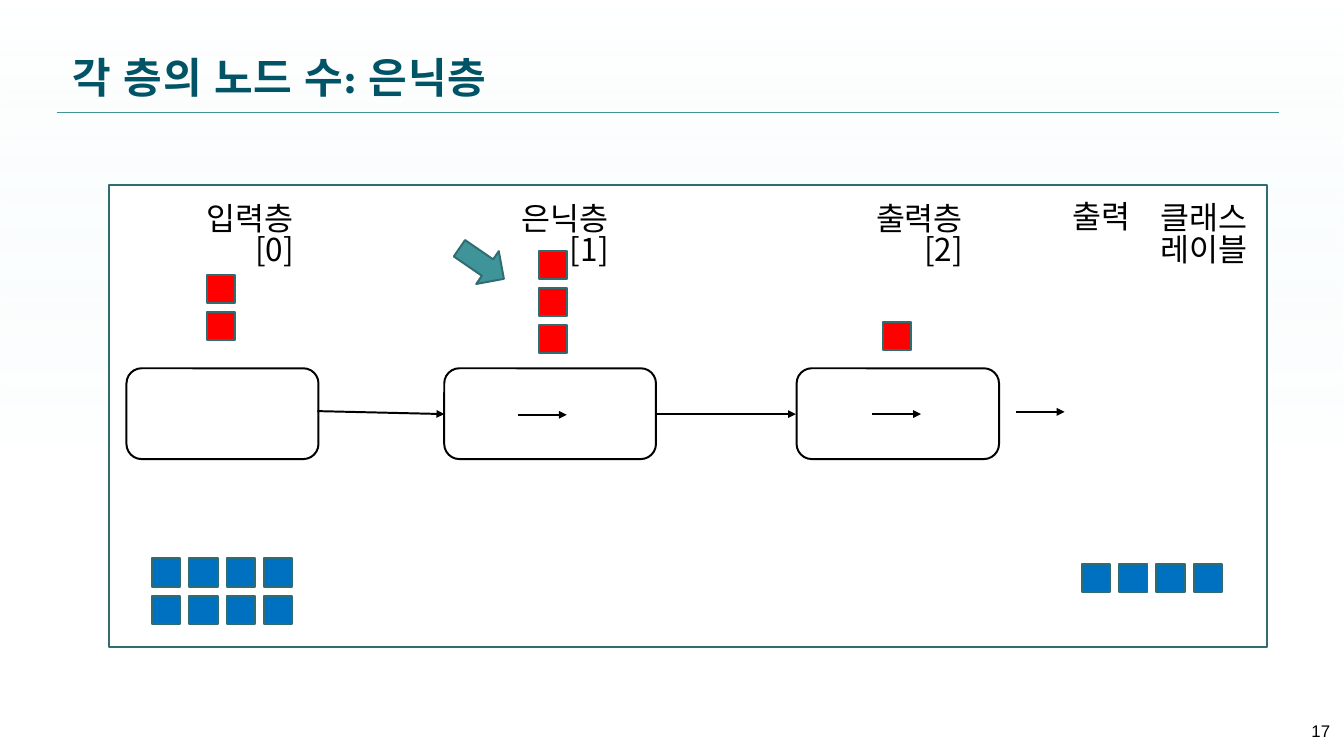
from pptx import Presentation
from pptx.dml.color import RGBColor
from pptx.enum.shapes import MSO_CONNECTOR, MSO_SHAPE
from pptx.enum.text import MSO_ANCHOR, PP_ALIGN
from pptx.oxml.ns import qn
from pptx.util import Cm, Pt
from lxml.etree import SubElement

WHITE = RGBColor(0xFF, 0xFF, 0xFF)
BLACK = RGBColor(0, 0, 0)
MINT = RGBColor(0xD9, 0xF3, 0xF4)
TEAL = RGBColor(0x3F, 0x94, 0x9A)
EDGE = RGBColor(0x2F, 0x6D, 0x72)
NAVY = RGBColor(0, 0x54, 0x66)
RED = RGBColor(0xFF, 0, 0)
BLUE = RGBColor(0, 0x70, 0xC0)

WIDE, HIGH = 36.12, 20.32
NODE, STEP = 0.76, 1.0  # node side and pitch, cm


class Deck:
    head = "League Spartan"
    body = "Noto Sans CJK KR"

    def __init__(self, show):
        self.slide = show.slides.add_slide(show.slide_layouts[5])
        self.items = self.slide.shapes

    def wash(self):
        box = self.shape(MSO_SHAPE.RECTANGLE, 0, 0, WIDE, HIGH, WHITE, None)
        box.fill.gradient()
        box.fill.gradient_angle = 270
        stops = box.fill.gradient_stops
        for stop, place, color in zip(stops, (0, 0.61), (MINT, WHITE)):
            stop.position = place
            stop.color.rgb = color
        tints = box.element.spPr.iter(qn("a:srgbClr"))
        for tint, alpha in zip(tints, ("0", "40000")):
            SubElement(tint, qn("a:alpha")).set("val", alpha)
        self.items.element.insert(2, box.element)

    def title(self, text, x, y, w, h):
        box = self.items.title
        box.left, box.top, box.width, box.height = Cm(x), Cm(y), Cm(w), Cm(h)
        box.text_frame.vertical_anchor = MSO_ANCHOR.MIDDLE
        para = box.text_frame.paragraphs[0]
        para.alignment = PP_ALIGN.LEFT
        run = self.run(para, text, self.head, 32, NAVY)
        run.font.bold = True
        run.font._element.set("spc", "50")

    def run(self, para, text, face, size, color):
        run = para.add_run()
        run.text = text
        font = run.font
        font.name, font.size = face, Pt(size)
        font.color.rgb = color
        SubElement(font._element, qn("a:ea")).set("typeface", face)
        return run

    def label(self, lines, x, y, w, h, face=body, size=24, gap=0.84):
        frame = self.items.add_textbox(Cm(x), Cm(y), Cm(w), Cm(h)).text_frame
        frame.word_wrap = True
        frame.margin_left = 0
        frame.vertical_anchor = MSO_ANCHOR.TOP
        para = frame.paragraphs[0]
        para.alignment = PP_ALIGN.RIGHT
        para.line_spacing = gap
        for i, line in enumerate(lines):
            if i:
                para.add_line_break()
            self.run(para, line, face, size, BLACK)
        return frame

    def shape(self, kind, x, y, w, h, fill, edge=EDGE):
        box = self.items.add_shape(kind, Cm(x), Cm(y), Cm(w), Cm(h))
        box.shadow.inherit = False
        box.fill.solid()
        box.fill.fore_color.rgb = fill
        if edge is None:
            box.line.fill.background()
        else:
            box.line.color.rgb = edge
            box.line.width = Pt(1.5)
        return box

    def nodes(self, x, y, rows, cols, fill):
        for row in range(rows):
            for col in range(cols):
                self.shape(MSO_SHAPE.FLOWCHART_PROCESS, x + col * STEP,
                           y + row * STEP, NODE, NODE, fill)

    def line(self, x1, y1, x2, y2, color=BLACK, width=1.5, tip=True):
        link = self.items.add_connector(
            MSO_CONNECTOR.STRAIGHT, Cm(x1), Cm(y1), Cm(x2), Cm(y2))
        link.line.color.rgb = color
        link.line.width = Pt(width)
        if tip:
            end = SubElement(link.line._get_or_add_ln(), qn("a:tailEnd"))
            end.set("type", "triangle")
        SubElement(link.element.spPr, qn("a:effectLst"))


def main():
    show = Presentation()
    show.slide_width, show.slide_height = Cm(WIDE), Cm(HIGH)
    deck = Deck(show)

    # Backdrop, title and page number
    deck.wash()
    deck.line(1.52, 3.02, 34.37, 3.02, TEAL, 0.25, False)
    deck.title("각 층의 노드 수: 은닉층", 1.7, 1.07, 32.66, 1.96)
    page = deck.label(["17"], 32.82, 19.1, 3.18, 1.09, "Arial", 12.8, 1.0)
    page.vertical_anchor = MSO_ANCHOR.MIDDLE

    # Frame and layer names
    deck.shape(MSO_SHAPE.RECTANGLE, 2.92, 4.98, 31.12, 12.4, WHITE)
    names = (("입력층", 4.09), ("은닉층", 12.55), ("출력층", 22.07))
    for i, (name, x) in enumerate(names):
        deck.label([name, f"[{i}]"], x, 5.38, 4.06, 2.3)
    deck.label(["출력"], 28.52, 5.33, 2.11, 1.27)
    deck.label(["클래스", "레이블"], 30.86, 5.36, 2.92, 2.31)

    # Layer boxes
    for x, w in ((3.4, 5.16), (11.94, 5.69), (21.41, 5.44)):
        deck.shape(MSO_SHAPE.ROUNDED_RECTANGLE, x, 9.9, w, 2.44, WHITE, BLACK)

    # Arrows between and inside the layers
    deck.line(8.53, 11.05, 11.94, 11.13)
    deck.line(17.63, 11.13, 21.39, 11.13)
    for x, y in ((13.92, 11.15), (23.44, 11.13), (27.3, 11.07)):
        deck.line(x, y, x + 1.31, y)

    # Nodes and data samples
    deck.nodes(5.56, 7.39, 2, 1, RED)
    deck.nodes(14.48, 6.74, 3, 1, RED)
    deck.nodes(23.72, 8.66, 1, 1, RED)
    deck.nodes(4.09, 15.01, 2, 4, BLUE)
    deck.nodes(29.08, 15.16, 1, 4, BLUE)

    # Pointer to the hidden layer
    mark = deck.shape(MSO_SHAPE.RIGHT_ARROW, 12.22, 6.55, 1.45, 1.07, TEAL)
    mark.rotation = 34.5

    show.save("out.pptx")


if __name__ == "__main__":
    main()
